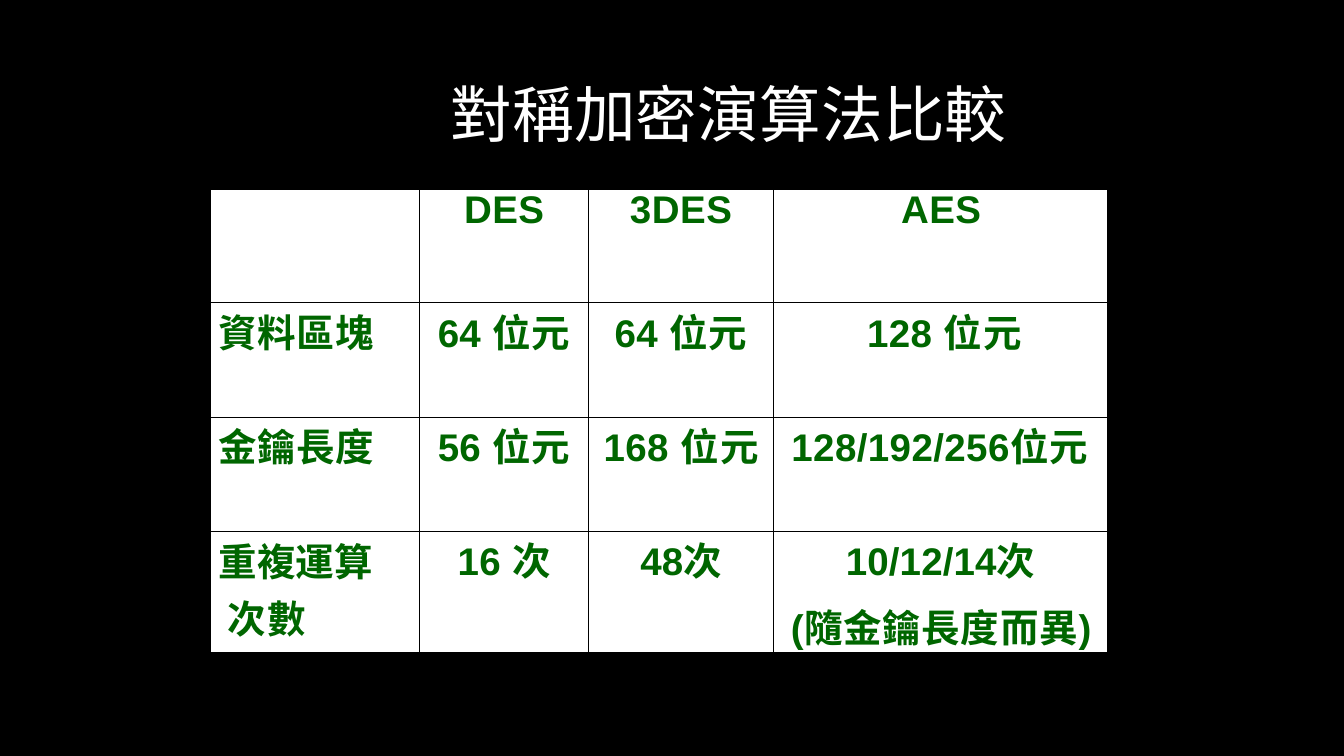
from dataclasses import dataclass

import lxml.etree
import pptx
import pptx.dml.color
import pptx.enum.text
import pptx.oxml.ns
import pptx.util

COLOURS = {"page": "000000", "cell": "FFFFFF", "border": "000000",
           "title": "FFFFFF", "text": "006600"}
LATIN = "Arial"
CHINESE = "Noto Sans CJK SC"
CENTRE = pptx.enum.text.PP_ALIGN.CENTER
LEFT = pptx.enum.text.PP_ALIGN.LEFT
Inches = pptx.util.Inches
Pt = pptx.util.Pt
qn = pptx.oxml.ns.qn

COLUMN_WIDTHS = [2.08, 1.68, 1.83, 3.32]
ROW_HEIGHTS = [1.13, 1.14, 1.13, 1.21]
THIN, THICK = 0.75, 2.25


@dataclass
class Span:
    text: str
    spacing: float
    font: str = CHINESE


@dataclass
class Para:
    spans: list[Span]
    before: float = 23.1
    indent: float = 0
    align: int = CENTRE
    line: float = 1.0


def colour(name: str) -> pptx.dml.color.RGBColor:
    return pptx.dml.color.RGBColor.from_string(COLOURS[name])


def apply(target, formats: dict) -> None:
    for name, value in formats.items():
        setattr(target, name, value)


def heading(text: str, spacing: float, indent: float = 0) -> list[Para]:
    return [Para([Span(text, spacing, LATIN)], before=22.4, indent=indent)]


def label(text: str, spacing: float, **formats) -> Para:
    return Para([Span(text, spacing)], **{"indent": 0.09, "align": LEFT, **formats})


def amount(number: str, unit: str, spacing: float, unit_spacing: float,
           **formats) -> Para:
    return Para([Span(number, spacing, LATIN), Span(unit, unit_spacing)], **formats)


ROWS = [
    [[], heading("DES", 0.3), heading("3DES", 0.4), heading("AES", 0.3, 0.01)],
    [[label("資料區塊", 0.4)],
     [amount("64 ", "位元", 0.2, 1)],
     [amount("64 ", "位元", 0.2, 1)],
     [amount("128 ", "位元", 0.3, 1, indent=0.93, align=LEFT)]],
    [[label("金鑰長度", 0.4)],
     [amount("56 ", "位元", 0.2, 1)],
     [amount("168 ", "位元", 0.3, 1)],
     [amount("128/192/256", "位元", 0.3, 0.3, indent=0.18, align=LEFT)]],
    [[label("重複運算", 0.1, before=5.1, line=1.02),
      label("次數", 1, before=0, indent=0.18, line=1.02)],
     [amount("16 ", "次", 0.2, 0.2)],
     [amount("48", "次", 0.1, 0.1)],
     [amount("10/12/14", "次", 0.1, 0.1, before=2.9),
      Para([Span("(", 0.5, LATIN), Span("隨金鑰長度而異", 0.5),
            Span(")", 0.5, LATIN)], before=7.5, indent=0.01)]],
]


def write_paras(frame, paras: list[Para], size: float, bold: bool,
                colour_name: str) -> None:
    for index, item in enumerate(paras):
        para = frame.paragraphs[0] if index == 0 else frame.add_paragraph()
        apply(para, {"alignment": item.align, "space_before": Pt(item.before),
                     "line_spacing": item.line})
        properties = para._p.get_or_add_pPr()
        properties.set("marL", str(Inches(item.indent)))
        properties.set("indent", "0")
        for piece in item.spans:
            span = para.add_run()
            span.text = piece.text
            apply(span.font, {"size": Pt(size), "bold": bold, "name": piece.font})
            span.font.color.rgb = colour(colour_name)
            run_properties = span.font._element
            run_properties.set("spc", str(round(piece.spacing * 100)))
            lxml.etree.SubElement(run_properties, qn("a:ea"), typeface=CHINESE)


def draw_border(cell, side: str, width: float) -> None:
    properties = cell._tc.get_or_add_tcPr()
    line = lxml.etree.SubElement(properties, qn(f"a:ln{side}"), w=str(Pt(width)))
    fill = lxml.etree.SubElement(line, qn("a:solidFill"))
    lxml.etree.SubElement(fill, qn("a:srgbClr"), val=COLOURS["border"])


def add_title(page) -> None:
    title = page.shapes.title
    apply(title, {"left": Inches(2.58), "top": Inches(0.75),
                  "width": Inches(11.5), "height": Inches(0.74)})
    frame = title.text_frame
    apply(frame, {"margin_left": 0, "margin_top": 0, "margin_right": 0,
                  "margin_bottom": 0, "word_wrap": True,
                  "vertical_anchor": pptx.enum.text.MSO_ANCHOR.MIDDLE,
                  "auto_size": pptx.enum.text.MSO_AUTO_SIZE.SHAPE_TO_FIT_TEXT})
    write_paras(frame, [label("對稱加密演算法比較", 0.1, before=0, indent=1.89)],
                44, False, "title")


def add_comparison(page) -> None:
    last_row, last_column = len(ROWS) - 1, len(COLUMN_WIDTHS) - 1
    table = page.shapes.add_table(
        len(ROWS), len(COLUMN_WIDTHS), Inches(2.08), Inches(1.87),
        Inches(sum(COLUMN_WIDTHS)), Inches(sum(ROW_HEIGHTS))).table
    apply(table, {"first_row": False, "horz_banding": False})
    for column, width in zip(table.columns, COLUMN_WIDTHS):
        column.width = Inches(width)
    for row_index, row in enumerate(ROWS):
        table.rows[row_index].height = Inches(ROW_HEIGHTS[row_index])
        for column_index, paras in enumerate(row):
            cell = table.cell(row_index, column_index)
            apply(cell, {"margin_left": 0, "margin_top": 0,
                         "margin_right": 0, "margin_bottom": 0})
            outer = {"L": column_index == 0, "R": column_index == last_column,
                     "T": row_index == 0, "B": row_index == last_row}
            for side, is_outer in outer.items():
                draw_border(cell, side, THICK if is_outer else THIN)
            cell.fill.solid()
            cell.fill.fore_color.rgb = colour("cell")
            write_paras(cell.text_frame, paras, 27.5, True, "text")


def main() -> None:
    deck = pptx.Presentation()
    apply(deck, {"slide_width": Inches(13.33), "slide_height": Inches(7.5)})
    page = deck.slides.add_slide(deck.slide_layouts[5])
    page.background.fill.solid()
    page.background.fill.fore_color.rgb = colour("page")
    add_comparison(page)
    add_title(page)
    deck.save("out.pptx")


if __name__ == "__main__":
    main()
